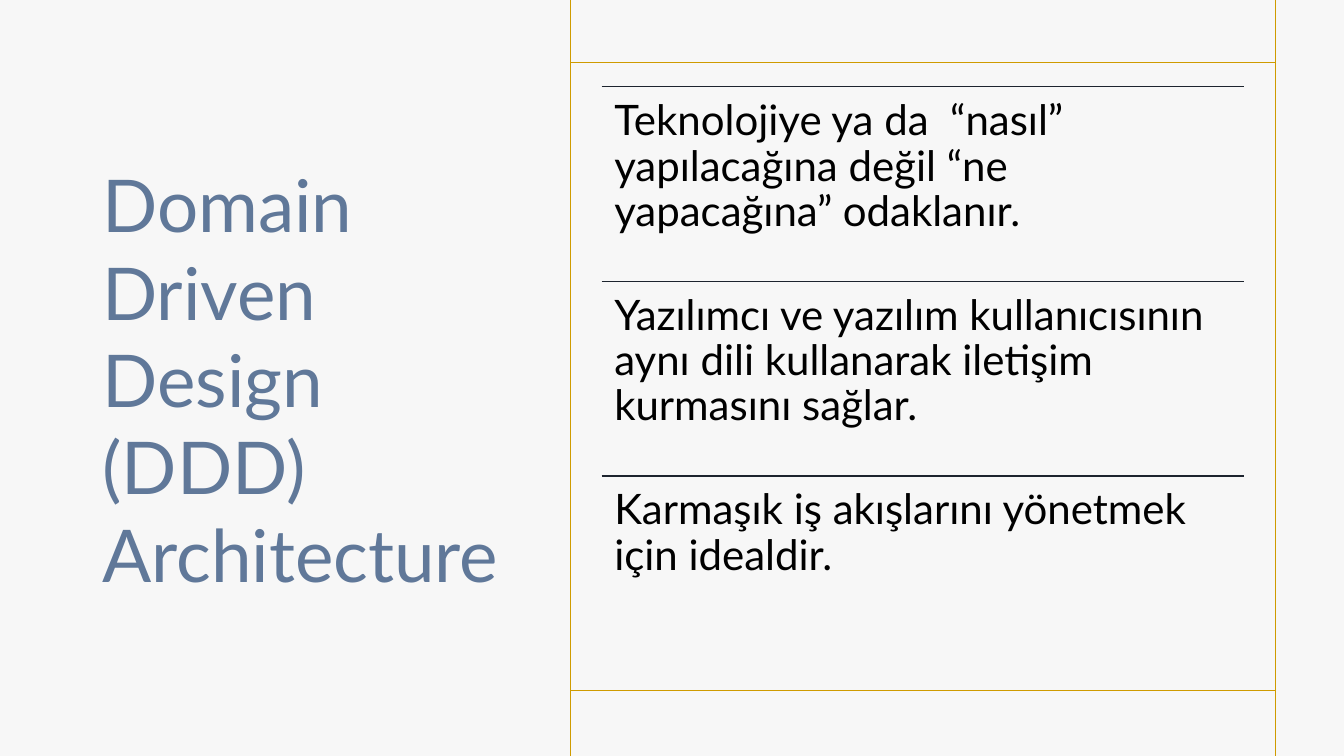
from pptx import Presentation
from pptx.dml.color import RGBColor
from pptx.enum.text import MSO_ANCHOR, MSO_AUTO_SIZE, PP_ALIGN
from pptx.enum.shapes import MSO_CONNECTOR
from pptx.oxml.ns import qn
from pptx.util import Pt
from lxml.etree import SubElement

PAPER = RGBColor(0xF7, 0xF7, 0xF7)
GOLD = RGBColor(0xCF, 0x9B, 0x00)
SLATE = RGBColor(0x60, 0x78, 0x99)
INK = RGBColor(0x1D, 0x24, 0x2E)
BLACK = RGBColor(0, 0, 0)

WIDTH, HEIGHT = 960, 540
FRAME_LEFT, FRAME_RIGHT = 407.5, 911
FRAME_TOP, FRAME_BOTTOM = 44.6, 493.2
LIST_LEFT, LIST_TOP, LIST_WIDTH, ROW_HEIGHT = 429.8, 62, 458.7, 139

POINTS = [
    "Teknolojiye ya da  “nasıl” yapılacağına değil “ne yapacağına” odaklanır.",
    "Yazılımcı ve yazılım kullanıcısının aynı dili kullanarak iletişim kurmasını sağlar.",
    "Karmaşık iş akışlarını yönetmek için idealdir.",
]


class SlideBuilder:
    font = "Lato"

    def __init__(self, slide):
        self.s = slide
        fill = slide.background.fill
        fill.solid()
        fill.fore_color.rgb = PAPER

    def add_words(self, tf, text, size, color, spacing):
        tf.word_wrap = True
        tf.auto_size = MSO_AUTO_SIZE.NONE
        p = tf.paragraphs[0]
        p.alignment = PP_ALIGN.LEFT
        p.line_spacing = spacing
        r = p.add_run()
        r.text = text
        r.font.name = self.font
        r.font.size = Pt(size)
        r.font.color.rgb = color

    def title(self, text, x, y, w, h):
        sp = self.s.shapes.title
        sp.left, sp.top, sp.width, sp.height = Pt(x), Pt(y), Pt(w), Pt(h)
        sp.text_frame.vertical_anchor = MSO_ANCHOR.MIDDLE
        self.add_words(sp.text_frame, text, 52, SLATE, 1.0)

    def line(self, x1, y1, x2, y2, color):
        c = self.s.shapes.add_connector(
            MSO_CONNECTOR.STRAIGHT, Pt(x1), Pt(y1), Pt(x2), Pt(y2))
        c.line.color.rgb = color
        c.line.width = Pt(1)
        SubElement(c._element.spPr, qn("a:effectLst"))

    def text(self, text, x, y, w, h):
        tf = self.s.shapes.add_textbox(Pt(x), Pt(y), Pt(w), Pt(h)).text_frame
        tf.margin_left = tf.margin_right = Pt(9)
        tf.margin_top = tf.margin_bottom = Pt(9)
        self.add_words(tf, text, 30, BLACK, 0.9)


def main():
    prs = Presentation()
    prs.slide_width, prs.slide_height = Pt(WIDTH), Pt(HEIGHT)
    s = SlideBuilder(prs.slides.add_slide(prs.slide_layouts[5]))

    s.title("Domain Driven Design (DDD) Architecture", 66, 46, 321, 448.5)
    for y in (FRAME_TOP, FRAME_BOTTOM):
        s.line(FRAME_LEFT, y, FRAME_RIGHT, y, GOLD)
    for x in (FRAME_LEFT, FRAME_RIGHT):
        s.line(x, 0, x, HEIGHT, GOLD)

    for i, point in enumerate(POINTS):
        y = LIST_TOP + i * ROW_HEIGHT
        s.line(LIST_LEFT, y, LIST_LEFT + LIST_WIDTH, y, INK)
        s.text(point, LIST_LEFT, y, LIST_WIDTH, ROW_HEIGHT)

    prs.save("out.pptx")


if __name__ == "__main__":
    main()
